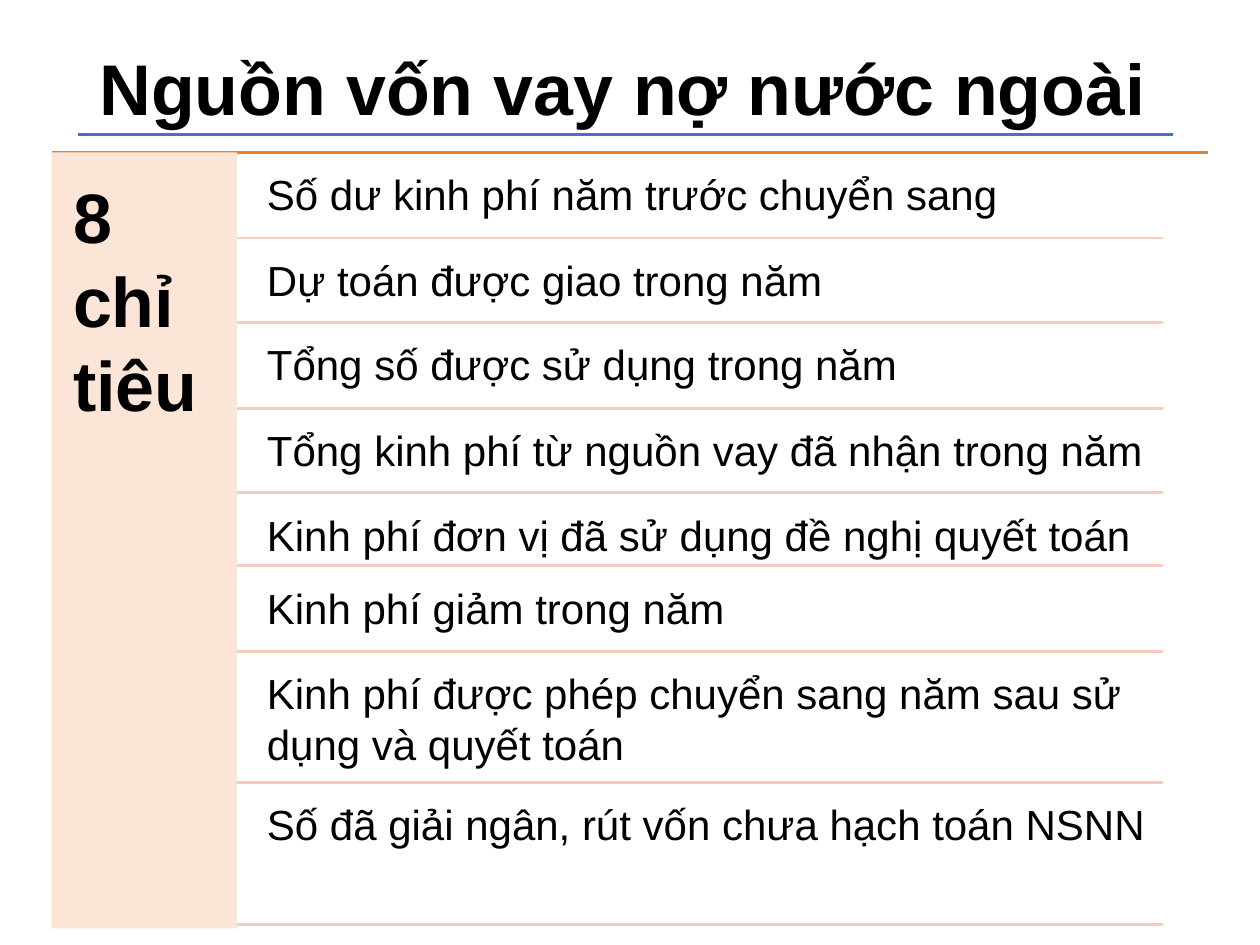
from lxml import etree
from pptx import Presentation
from pptx.dml.color import RGBColor
from pptx.enum.shapes import MSO_CONNECTOR, MSO_SHAPE
from pptx.enum.text import MSO_ANCHOR, PP_ALIGN
from pptx.oxml.ns import qn
from pptx.util import Inches, Pt

STRAIGHT = MSO_CONNECTOR.STRAIGHT
RECTANGLE = MSO_SHAPE.RECTANGLE
TOP, MIDDLE = MSO_ANCHOR.TOP, MSO_ANCHOR.MIDDLE
LEFT = PP_ALIGN.LEFT

COLORS = {
    "text": "000000",
    "title_rule": "4472C4",
    "list_rule": "ED7D31",
    "row_rule": "F6CCBE",
    "panel": "FBE5D6",
}

presentation = Presentation()
presentation.slide_width = Inches(10)
presentation.slide_height = Inches(7.5)
slide = presentation.slides.add_slide(presentation.slide_layouts[6])


def add_rule(left, right, y, color):
    rule = slide.shapes.add_connector(
        STRAIGHT, Inches(left), Inches(y), Inches(right), Inches(y))
    rule.line.color.rgb = RGBColor.from_string(COLORS[color])
    rule.line.width = Pt(1.5)
    etree.SubElement(rule._element.spPr, qn("a:effectLst"))


def write_text(shape, text, size, inset, bold=False, anchor=TOP):
    text_frame = shape.text_frame
    text_frame.word_wrap = True
    text_frame.vertical_anchor = anchor
    text_frame.margin_left = text_frame.margin_right = Inches(inset[0])
    text_frame.margin_top = text_frame.margin_bottom = Inches(inset[1])
    text_frame.text = text
    paragraph = text_frame.paragraphs[0]
    paragraph.alignment = LEFT
    paragraph.space_after = Pt(6)
    font = paragraph.runs[0].font
    font.name = "Arial"
    font.size = Pt(size)
    font.bold = bold
    font.color.rgb = RGBColor.from_string(COLORS["text"])
    return paragraph


add_rule(0.62, 9.31, 1.07, "title_rule")
title = slide.shapes.add_textbox(Inches(0.69), Inches(0.26), Inches(8.62), Inches(0.95))
title_paragraph = write_text(
    title, "Nguồn vốn vay nợ nước ngoài", 41, (0.1, 0.05), True, MIDDLE)
title_paragraph.line_spacing = 0.9

add_rule(0.41, 9.59, 1.21, "list_rule")
panel = slide.shapes.add_shape(
    RECTANGLE, Inches(0.41), Inches(1.21), Inches(1.47), Inches(6.16))
panel.shadow.inherit = False
panel.fill.solid()
panel.fill.fore_color.rgb = RGBColor.from_string(COLORS["panel"])
panel.line.fill.background()
write_text(panel, "8 chỉ tiêu", 40, (0.17, 0.17), True)

indicators = [
    ("Số dư kinh phí năm trước chuyển sang", 1.89),
    ("Dự toán được giao trong năm", 2.56),
    ("Tổng số được sử dụng trong năm", 3.24),
    ("Tổng kinh phí từ nguồn vay đã nhận trong năm", 3.91),
    ("Kinh phí đơn vị đã sử dụng đề nghị quyết toán", 4.49),
    ("Kinh phí giảm trong năm", 5.17),
    ("Kinh phí được phép chuyển sang năm sau sử dụng và quyết toán", 6.21),
    ("Số đã giải ngân, rút vốn chưa hạch toán NSNN", 7.34),
]
row_top = 1.21
for text, row_bottom in indicators:
    box_top = row_top + 0.03
    row = slide.shapes.add_textbox(
        Inches(2.02), Inches(box_top), Inches(7.21), Inches(row_bottom - box_top))
    write_text(row, text, 24, (0.1, 0.1))
    add_rule(1.88, 9.23, row_bottom, "row_rule")
    row_top = row_bottom

presentation.save("out.pptx")
